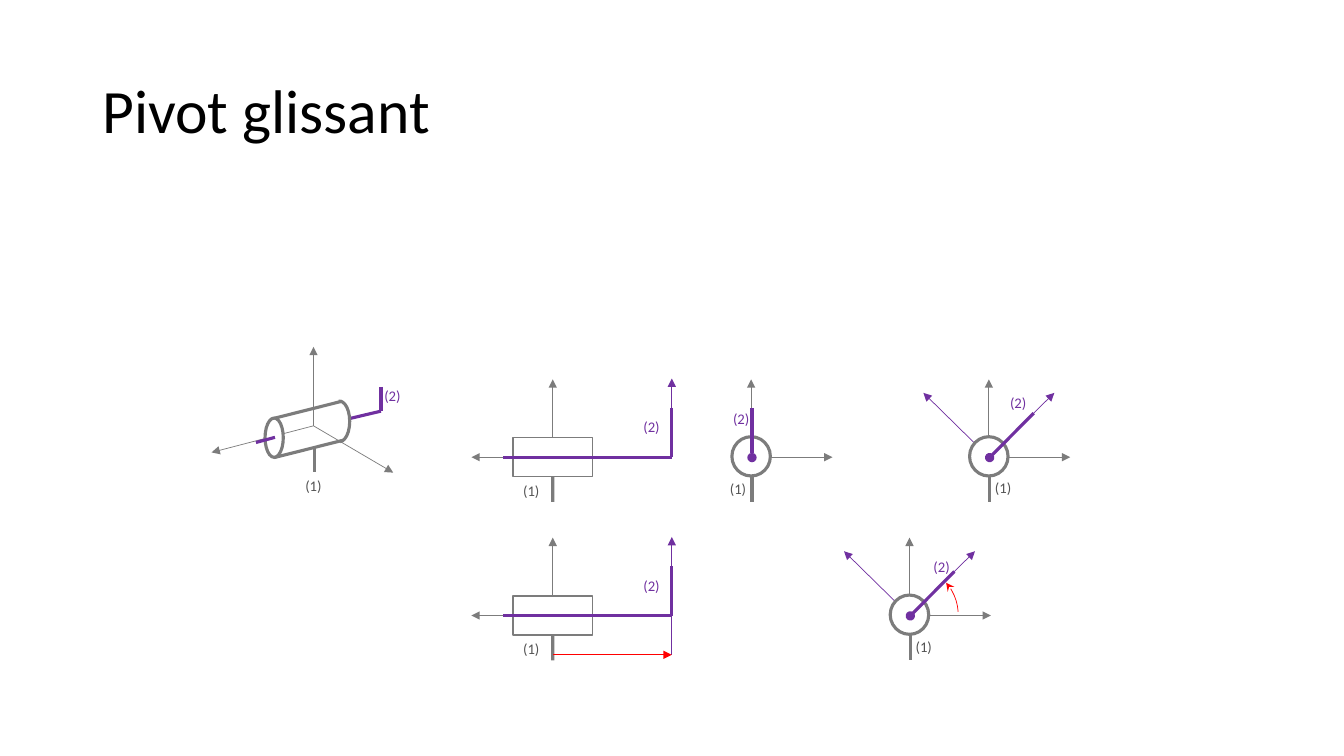
"""Draws the views of a sliding pivot joint as a single slide."""
from dataclasses import dataclass
from typing import Optional

from lxml.etree import SubElement
from pptx import Presentation
from pptx.dml.color import RGBColor
from pptx.enum.shapes import MSO_CONNECTOR, MSO_SHAPE
from pptx.enum.text import MSO_ANCHOR, MSO_AUTO_SIZE, PP_ALIGN
from pptx.oxml.ns import qn
from pptx.util import Cm, Pt


@dataclass(frozen=True)
class Theme:
    font: str = "Calibri"
    title: float = 44
    label: float = 10.5
    ink: str = "000000"
    body: str = "7C7C7C"
    note: str = "525252"
    arm: str = "7030A0"
    turn: str = "FF0000"
    paper: str = "FFFFFF"
    thin: float = 0.5
    edge: float = 1
    thick: float = 2.25


@dataclass(frozen=True)
class Point:
    x: float
    y: float

    def move(self, x: float, y: float) -> "Point":
        return Point(self.x + x, self.y + y)


@dataclass(frozen=True)
class Line:
    start: tuple[float, float]
    end: tuple[float, float]
    color: str
    width: float
    tip: str = ""


@dataclass(frozen=True)
class Label:
    text: str
    at: tuple[float, float]
    color: str


@dataclass(frozen=True)
class Form:
    kind: MSO_SHAPE
    at: tuple[float, float]
    size: tuple[float, float]
    color: str
    width: float
    fill: Optional[str] = None
    bends: tuple[float, ...] = ()
    head: str = ""


T = Theme()
deck = Presentation()
deck.slide_width, deck.slide_height = Cm(33.87), Cm(19.05)
slide = deck.slides.add_slide(deck.slide_layouts[6])


def axis(start: tuple[float, float], end: tuple[float, float], color: str = T.body) -> Line:
    """Describe a thin arrow."""
    return Line(start, end, color, T.thin, "triangle")


def bar(start: tuple[float, float], end: tuple[float, float], color: str = T.arm, tip: str = "") -> Line:
    """Describe a thick stroke."""
    return Line(start, end, color, T.thick, tip)


def add_tip(item, name: str, kind: str) -> None:
    """Put a line end on a shape that has its line set."""
    SubElement(item.line.fill and item._element.spPr.find(qn("a:ln")), qn(name), type=kind)


def draw_line(base: Point, line: Line, box=None):
    """Draw a line, joined to the foot of a box if one is given."""
    a, b = base.move(*line.start), base.move(*line.end)
    item = slide.shapes.add_connector(MSO_CONNECTOR.STRAIGHT, Cm(a.x), Cm(a.y), Cm(b.x), Cm(b.y))
    item.line.color.rgb = RGBColor.from_string(line.color)
    item.line.width = Pt(line.width)
    if line.tip:
        add_tip(item, "a:tailEnd", line.tip)
    SubElement(item._element.spPr, qn("a:effectLst"))
    if box is not None:
        item.begin_connect(box, 2)


def draw_form(base: Point, form: Form):
    """Draw a shape around its centre."""
    mid = base.move(*form.at)
    wide, high = form.size
    item = slide.shapes.add_shape(form.kind, Cm(mid.x - wide / 2), Cm(mid.y - high / 2), Cm(wide), Cm(high))
    item.shadow.inherit = False
    for i, bend in enumerate(form.bends):
        item.adjustments[i] = bend
    if form.fill:
        item.fill.solid()
        item.fill.fore_color.rgb = RGBColor.from_string(form.fill)
    else:
        item.fill.background()
    item.line.color.rgb = RGBColor.from_string(form.color)
    item.line.width = Pt(form.width)
    if form.head:
        add_tip(item, "a:headEnd", form.head)
    return item


def draw_text(text: str, at: Point, size: tuple[float, float], points: float, color: str):
    """Add a text box with one run."""
    box = slide.shapes.add_textbox(Cm(at.x), Cm(at.y), Cm(size[0]), Cm(size[1]))
    run = box.text_frame.paragraphs[0].add_run()
    run.text = text
    run.font.name, run.font.size = T.font, Pt(points)
    run.font.color.rgb = RGBColor.from_string(color)
    return box.text_frame


def draw_label(base: Point, label: Label) -> None:
    """Add a part number around its centre."""
    frame = draw_text(label.text, base.move(*label.at).move(-0.5, -0.37), (1, 0.74), T.label, label.color)
    frame.word_wrap = False
    frame.auto_size = MSO_AUTO_SIZE.SHAPE_TO_FIT_TEXT
    frame.paragraphs[0].alignment = PP_ALIGN.CENTER


def draw_all(base: Point, *parts: Line | Form | Label) -> None:
    """Draw parts from back to front."""
    for part in parts:
        if isinstance(part, Line):
            draw_line(base, part)
        elif isinstance(part, Form):
            draw_form(base, part)
        else:
            draw_label(base, part)


def tags(one: tuple[float, float], two: tuple[float, float]) -> list[Label]:
    """Describe the two part numbers."""
    return [Label("(1)", one, T.note), Label("(2)", two, T.arm)]


def draw_solid(base: Point) -> None:
    """Draw the joint in space."""
    draw_all(
        base,
        *(axis((0, 0), end) for end in ((-2.57, 0.67), (0, -1.99), (2.01, 1.18))),
        bar((0.72, -0.62), (-0.99, -0.19), T.body),
        bar((0.72, 0.37), (-0.99, 0.8), T.body),
        bar((0.02, 1.16), (0.02, 0.55), T.body),
        Form(MSO_SHAPE.OVAL, (-0.99, 0.3), (0.46, 0.99), T.body, T.thick, T.paper),
        bar((-0.97, 0.29), (-1.45, 0.42)),
        bar((1.7, -0.37), (0.94, -0.19)),
        Form(MSO_SHAPE.ARC, (0.66, -0.11), (0.51, 1.02), T.body, T.thick, bends=(160.36, 53.32)),
        bar((1.7, -0.98), (1.7, -0.37)),
        *tags((0, 1.52), (1.99, -0.74)),
    )


def draw_side(base: Point, slid: bool) -> None:
    """Draw the side view, with its slide arrow if slid."""
    draw_all(base, axis((0, 0), (0, -1.96)), axis((0, 0), (-2.05, 0)))
    box = draw_form(base, Form(MSO_SHAPE.RECTANGLE, (0, 0), (2.01, 0.99), T.body, T.edge, T.paper))
    draw_line(base, bar((0, 0.5), (0, 1.13), T.body), box)
    draw_all(
        base,
        bar((3, -1.24), (3, 0)),
        axis((3, 0.99 if slid else 0), (3, -1.98), T.arm),
        bar((3, 0), (-1.26, 0)),
        *tags((-0.54, 0.86), (2.49, -0.74)),
    )
    if slid:
        draw_all(base, axis((0, 0.99), (3, 0.99), T.turn))


def draw_front(base: Point, arm: tuple[float, float], names: list[Label], tilt: bool) -> None:
    """Draw the front view, with the turned axes if tilted."""
    if tilt:
        draw_all(base, *(axis((0, 0), (x, -1.62), T.arm) for x in (-1.65, 1.65)))
    draw_all(
        base,
        bar((0.02, 1.12), (0.02, 0), T.body),
        axis((0, 0), (0, -1.96)),
        axis((0, 0), (2.05, 0)),
        Form(MSO_SHAPE.OVAL, (0, -0.02), (0.97, 0.99), T.body, T.thick, T.paper),
        bar(arm, (0.02, 0.01), tip="oval"),
        *names,
    )


def main() -> None:
    """Build and save the slide."""
    top, low = 11.52, 15.51
    frame = draw_text("Pivot glissant", Point(2.33, 1.01), (29.21, 3.68), T.title, T.ink)
    frame.word_wrap = True
    frame.vertical_anchor = MSO_ANCHOR.MIDDLE
    frame.paragraphs[0].line_spacing = 0.9
    draw_solid(Point(7.9, 10.73))
    draw_side(Point(13.93, top), False)
    draw_side(Point(13.93, low), True)
    draw_front(Point(18.93, top), (0.02, -1.23), tags((-0.33, 0.81), (-0.25, -0.94)), False)
    draw_front(Point(24.92, top), (1.13, -1.11), tags((0.36, 0.78), (0.74, -1.36)), True)
    turned = Point(22.92, low)
    draw_front(turned, (1.13, -1.11), tags((0.36, 0.81), (0.81, -1.22)), True)
    draw_all(turned, Form(MSO_SHAPE.ARC, (0, -0.02), (2.46, 2.44), T.turn, T.thin,
                          bends=(191.38, 214), head="stealth"))
    deck.save("out.pptx")


if __name__ == "__main__":
    main()
